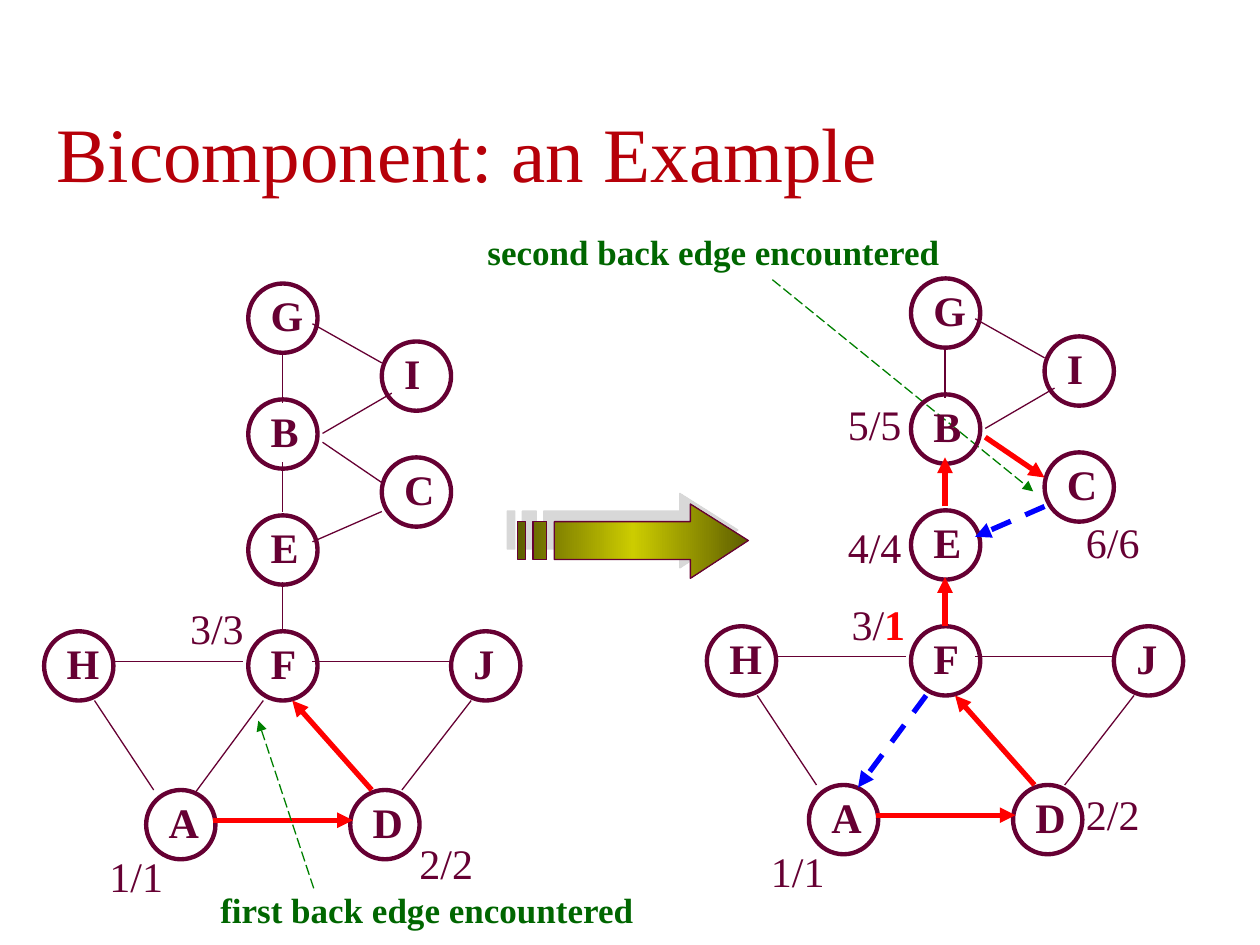
"""Build a slide showing a depth-first search for bicomponents before and after back edges."""
from copy import deepcopy

from lxml.etree import SubElement
from pptx import Presentation
from pptx.dml.color import RGBColor
from pptx.enum.dml import MSO_LINE
from pptx.enum.shapes import MSO_CONNECTOR, MSO_SHAPE
from pptx.enum.text import MSO_ANCHOR, MSO_AUTO_SIZE, PP_ALIGN
from pptx.oxml.ns import qn
from pptx.util import Pt

PX = 9144
FONT = "Times New Roman"
PLUM, RED, BLUE, GREEN = "660033", "FF0000", "0000FF", "008000"
color = RGBColor.from_string

PLAIN = {"ink": PLUM, "width": 0.75, "dash": None, "arrow": False}
TREE = {"ink": RED, "width": 3, "dash": None, "arrow": True}
BACK = {"ink": BLUE, "width": 3, "dash": MSO_LINE.DASH, "arrow": True}
POINTER = {"ink": GREEN, "width": 0.75, "dash": MSO_LINE.LONG_DASH, "arrow": True}


def add_label(shapes, x, y, w, h, parts, size=24):
    label = shapes.add_textbox(x * PX, y * PX, w * PX, h * PX)
    label.text_frame.word_wrap = True
    label.text_frame.auto_size = MSO_AUTO_SIZE.SHAPE_TO_FIT_TEXT
    paragraph = label.text_frame.paragraphs[0]
    paragraph.space_before = Pt(size * 0.625)
    for text, ink, bold in parts:
        run = paragraph.add_run()
        run.text = text
        run.font.color.rgb = color(ink)
        for name, value in {"name": FONT, "size": Pt(size), "bold": bold}.items():
            setattr(run.font, name, value)


def add_edge(shapes, x1, y1, x2, y2, style):
    edge = shapes.add_connector(MSO_CONNECTOR.STRAIGHT, x1 * PX, y1 * PX, x2 * PX, y2 * PX)
    edge.line.color.rgb = color(style["ink"])
    for name, value in {"width": Pt(style["width"]), "dash_style": style["dash"]}.items():
        setattr(edge.line, name, value)
    properties = edge._element.spPr
    if style["arrow"]:
        SubElement(properties.find(qn("a:ln")), qn("a:tailEnd"), type="triangle")
    SubElement(properties, qn("a:effectLst"))


deck = Presentation()
deck.slide_width, deck.slide_height = 1000 * PX, 750 * PX
slide = deck.slides.add_slide(deck.slide_layouts[5])
shapes = slide.shapes

title = shapes.title
for name, value in {"left": 35, "top": 79, "width": 945, "height": 83}.items():
    setattr(title, name, value * PX)
title.text_frame.text = "Bicomponent: an Example"
for name, value in {"vertical_anchor": MSO_ANCHOR.BOTTOM, "word_wrap": True,
                    "auto_size": MSO_AUTO_SIZE.SHAPE_TO_FIT_TEXT}.items():
    setattr(title.text_frame, name, value)
heading = title.text_frame.paragraphs[0]
heading.alignment = PP_ALIGN.LEFT
for name, value in {"name": FONT, "size": Pt(44)}.items():
    setattr(heading.font, name, value)
heading.font.color.rgb = color("B60009")

nodes = {
    "G": (197, 225), "B": (197, 317), "I": (303, 271), "C": (303, 363), "J": (358, 501),
    "H": (35, 501), "D": (278, 627), "A": (116, 627), "E": (197, 409), "F": (197, 501),
}
edges = [
    (224, 281, 224, 320, PLAIN, PLAIN),
    (224, 406, 224, 367, PLAIN, TREE),
    (248, 257, 303, 288, PLAIN, PLAIN),
    (256, 344, 311, 312, PLAIN, PLAIN),
    (256, 351, 303, 383, PLAIN, TREE),
    (303, 406, 248, 430, PLAIN, BACK),
    (224, 501, 224, 462, PLAIN, TREE),
    (90, 525, 193, 525, PLAIN, PLAIN),
    (248, 525, 358, 525, PLAIN, PLAIN),
    (75, 556, 122, 627, PLAIN, PLAIN),
    (169, 651, 280, 651, TREE, TREE),
    (319, 627, 374, 556, PLAIN, PLAIN),
    (209, 556, 155, 629, PLAIN, BACK),
    (295, 627, 232, 556, TREE, TREE),
]

add_edge(shapes, 613, 222, 820, 390, POINTER)
for stage, (dx, dy) in enumerate([(0, 0), (526, -4)]):
    for letter, (x, y) in nodes.items():
        node = shapes.add_group_shape().shapes
        ring = node.add_shape(MSO_SHAPE.OVAL, (x + dx) * PX, (y + dy) * PX, 55 * PX, 55 * PX)
        ring.shadow.inherit = False
        ring.fill.background()
        ring.line.color.rgb = color(PLUM)
        ring.line.width = Pt(2.5)
        add_label(node, x + dx + 8, y + dy, 47, 50, [(letter, PLUM, True)])
    for x1, y1, x2, y2, *styles in edges:
        add_edge(shapes, x1 + dx, y1 + dy, x2 + dx, y2 + dy, styles[stage])
add_edge(shapes, 249, 705, 205, 572, POINTER)

for x, y, numbers in [(77, 670, "1/1"), (323, 660, "2/2"), (141, 473, "3/3"), (602, 666, "1/1"),
                      (663, 409, "4/4"), (852, 405, "6/6"), (663, 311, "5/5"), (852, 621, "2/2")]:
    add_label(shapes, x, y, 148, 50, [(numbers, PLUM, False)])
add_label(shapes, 666, 470, 148, 50, [("3/", PLUM, False), ("1", RED, True)])
for x, y, order in [(165, 700, "first"), (377, 178, "second")]:
    add_label(shapes, x, y, 433, 44, [(f"{order} back edge encountered", "006600", True)], 20)

outline = shapes.build_freeform(548, 400, scale=PX)
outline.add_line_segments([(548, 414), (440, 414), (440, 444), (548, 444), (548, 459), (594, 429)])
for left, right in [(423, 434), (411, 417)]:
    outline.move_to(left, 414)
    outline.add_line_segments([(left, 444), (right, 444), (right, 414)])
transition = outline.convert_to_shape()
transition.fill.gradient()
transition.fill.gradient_angle = 0
stop_list = transition._element.spPr.find(qn("a:gradFill")).find(qn("a:gsLst"))
stop_list.append(deepcopy(stop_list[0]))
for stop, (position, ink) in zip(transition.fill.gradient_stops,
                                 [(0, "5E5E00"), (0.5, "CCCC00"), (1, "5E5E00")]):
    stop.position = position
    stop.color.rgb = color(ink)
transition.line.color.rgb = color(PLUM)
transition.line.width = Pt(0.75)
transition.shadow.inherit = False
effects = transition._element.spPr.find(qn("a:effectLst"))
shadow = SubElement(effects, qn("a:outerShdw"), blurRad="0", dist=str(Pt(8.5)), dir="13500000")
shade = SubElement(shadow, qn("a:srgbClr"), val="B2B2B2")
SubElement(shade, qn("a:alpha"), val="50000")

deck.save("out.pptx")
